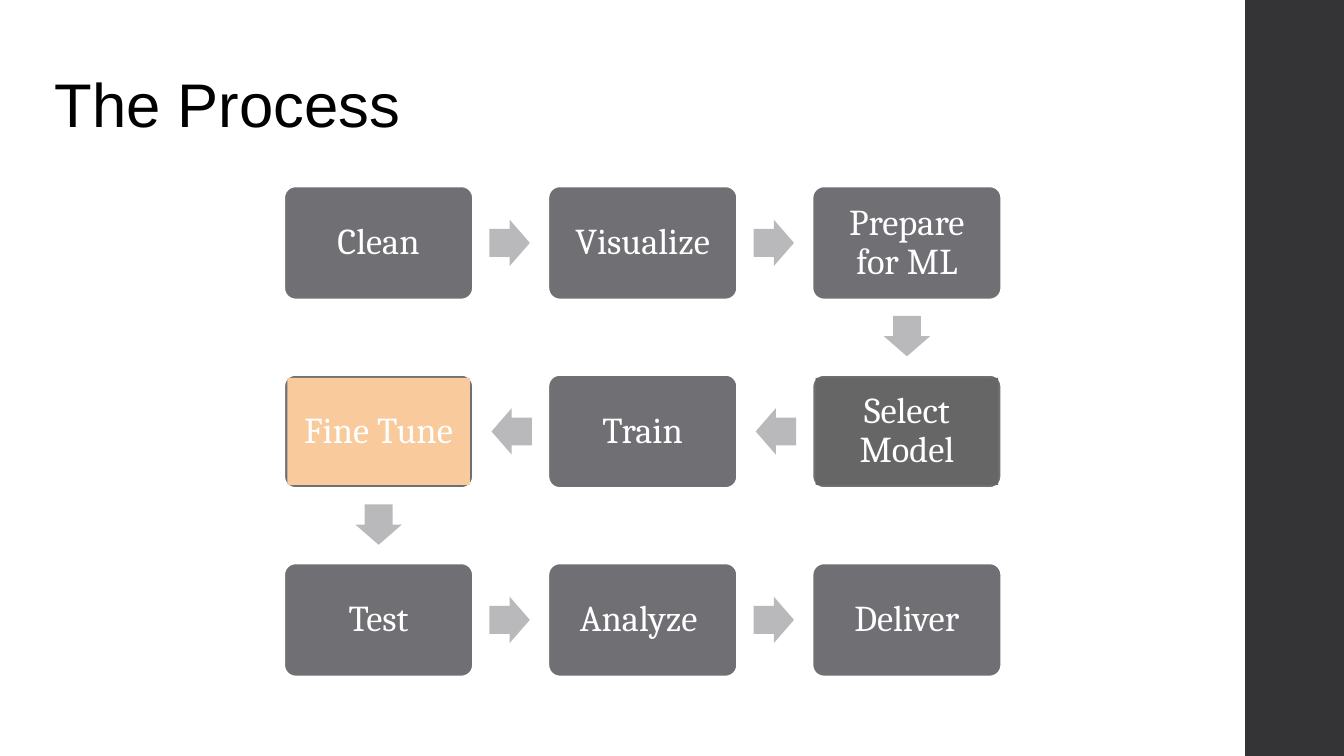
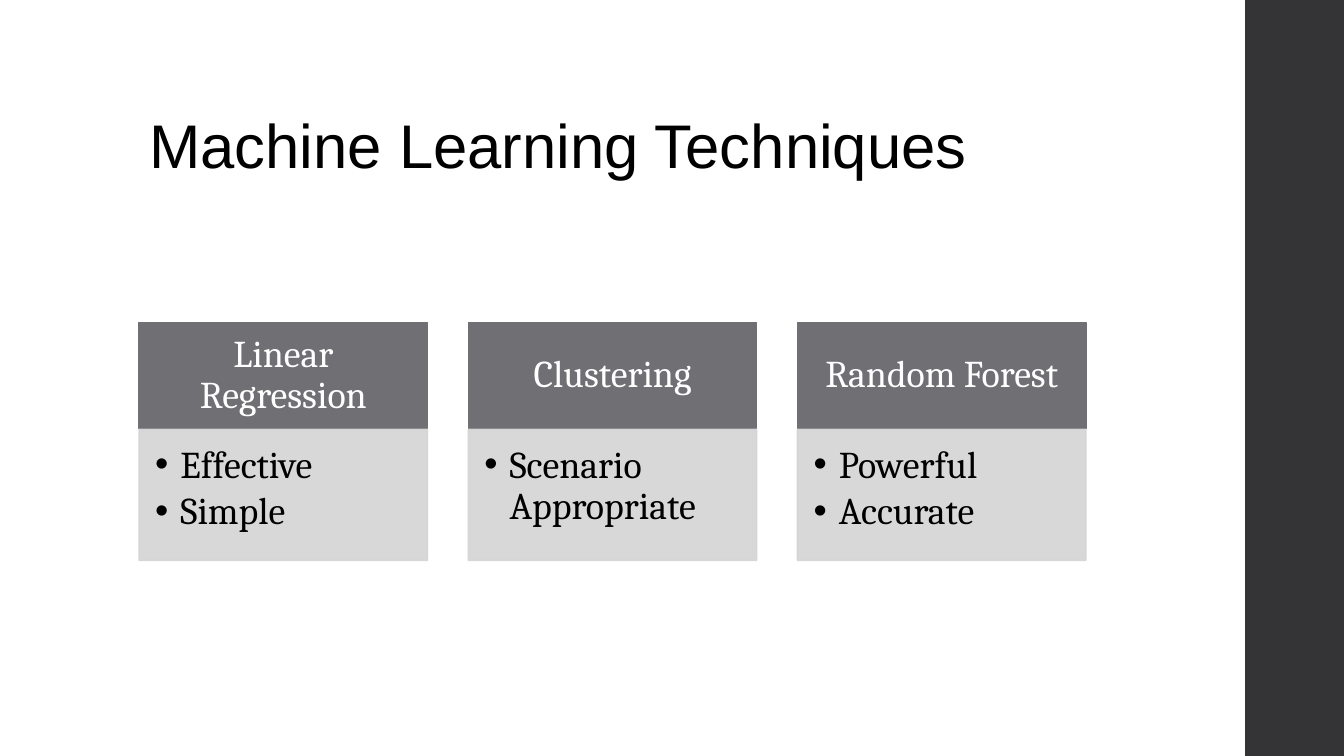
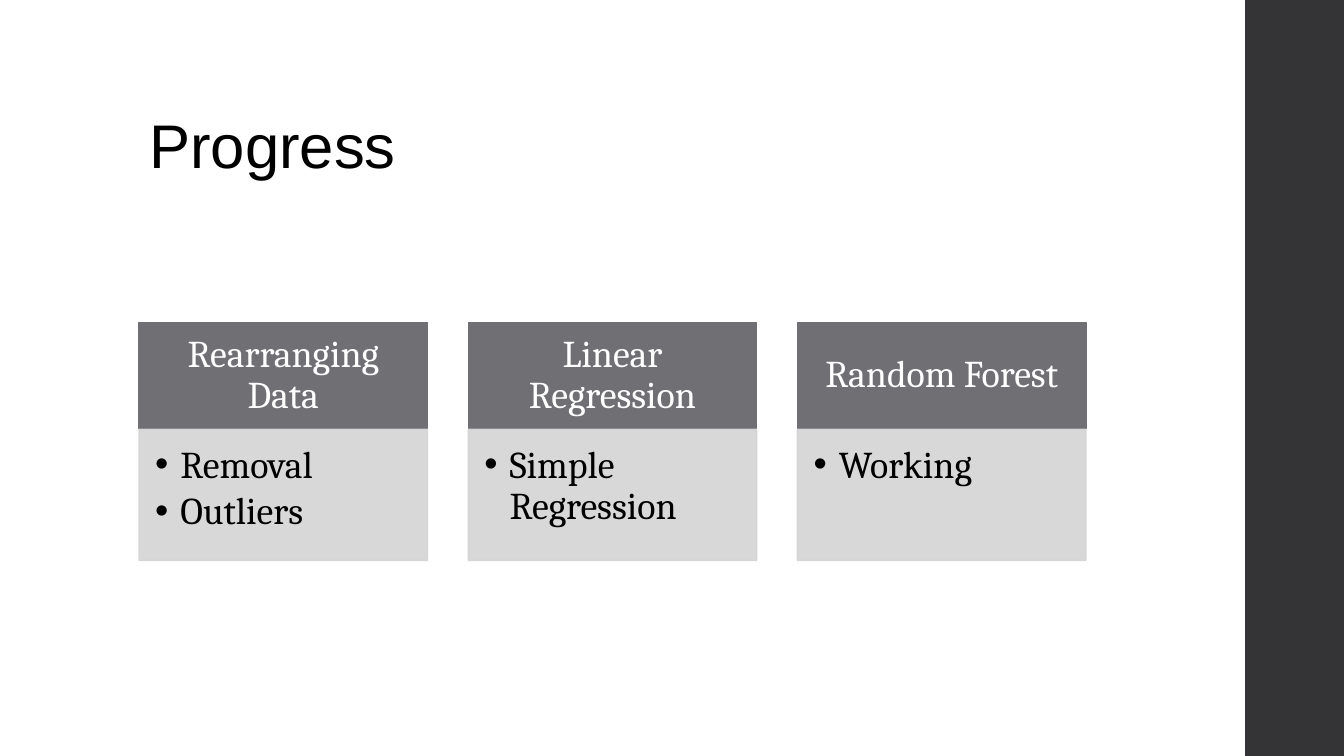
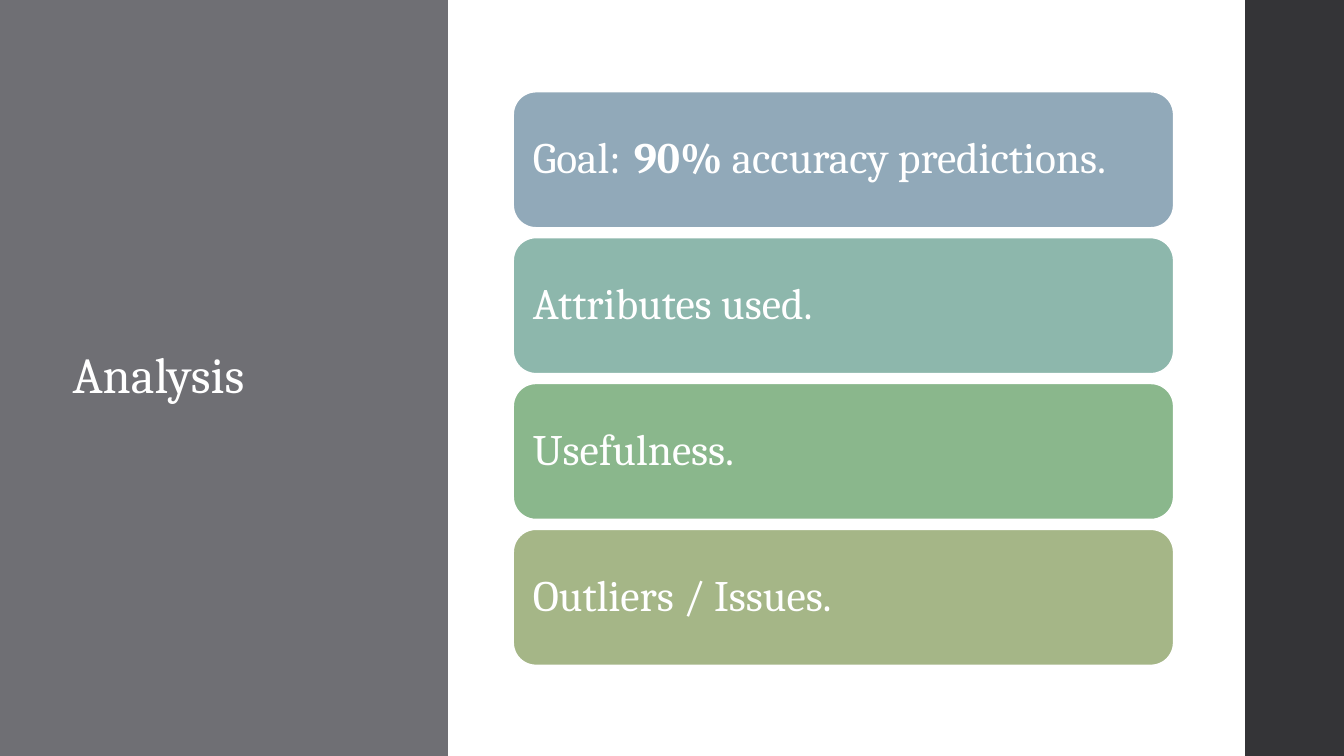
"""Build four slides on a machine learning project: process, techniques, progress and analysis."""

import dataclasses
import itertools
import typing

import lxml.etree
import pptx
import pptx.dml.color
import pptx.enum.shapes
import pptx.enum.text
import pptx.oxml.ns
import pptx.shapes.autoshape
import pptx.slide
import pptx.text.text
import pptx.util

SLIDE_WIDTH, SLIDE_HEIGHT = 13.33, 7.5
BAND_LEFT = 12.35
TITLE_ONLY_LAYOUT = 5

WHITE, BLACK = "FFFFFF", "000000"
CHARCOAL, GREY, PALE_GREY, ARROW_GREY = "343437", "6F6F74", "D4D4D5", "B9B9BB"

SHAPES = pptx.enum.shapes.MSO_SHAPE
ALIGN = pptx.enum.text.PP_ALIGN
ANCHOR = pptx.enum.text.MSO_ANCHOR


class Frame(typing.NamedTuple):
    left: float
    top: float
    width: float
    height: float

    @property
    def centre(self) -> tuple[float, float]:
        return self.left + self.width / 2, self.top + self.height / 2

    def shrunk(self, margin: float) -> "Frame":
        return Frame(self.left + margin, self.top + margin,
                     self.width - 2 * margin, self.height - 2 * margin)


@dataclasses.dataclass(frozen=True)
class Grid:
    first: Frame
    column_step: float = 0
    row_step: float = 0

    def cell(self, column: int, row: int) -> Frame:
        return self.first._replace(left=self.first.left + column * self.column_step,
                                   top=self.first.top + row * self.row_step)


@dataclasses.dataclass(frozen=True)
class TextStyle:
    size: float
    colour: str = WHITE
    font: str = "Cambria"
    align: ALIGN = ALIGN.LEFT
    anchor: ANCHOR = ANCHOR.MIDDLE
    insets: tuple[float, float, float, float] = (0.1, 0.05, 0.1, 0.05)
    bullet: bool = False


class Run(typing.NamedTuple):
    text: str
    bold: bool = False


class Step(typing.NamedTuple):
    label: str
    highlight: str | None = None


class Card(typing.NamedTuple):
    heading: str
    points: list[str]


class Bar(typing.NamedTuple):
    runs: list[Run]
    fill: str


TITLE_STYLE = TextStyle(44, BLACK, "Arial", anchor=ANCHOR.BOTTOM)
SIDE_TITLE_STYLE = TextStyle(36)
STEP_STYLE = TextStyle(26, align=ALIGN.CENTER, insets=(0.11,) * 4)
HEADING_STYLE = TextStyle(27, align=ALIGN.CENTER, insets=(0.21, 0.12, 0.21, 0.12))
POINT_STYLE = TextStyle(27, BLACK, anchor=ANCHOR.TOP, insets=(0.16, 0.16, 0.21, 0.24), bullet=True)
BAR_STYLE = TextStyle(31, insets=(0.13,) * 4)

PROCESS_TITLE = Frame(0.44, 0, 10.6, 1.45)
CARD_TITLE = Frame(1.38, 0.4, 10.6, 1.45)
SIDE_TITLE = Frame(0.62, 0.91, 2.97, 5.67)
SIDE_PANEL = Frame(0, 0, SLIDE_WIDTH / 3, SLIDE_HEIGHT)

STEP_COLUMNS = 3
STEP_GRID = Grid(Frame(2.82, 1.85, 1.87, 1.12), 2.62, 1.87)
HEADING_GRID = Grid(Frame(1.38, 3.2, 2.86, 1.05), 3.265)
POINT_GRID = Grid(Frame(1.38, 4.26, 2.86, 1.3), 3.265)
BAR_GRID = Grid(Frame(5.09, 0.91, 6.55, 1.35), row_step=1.447)
ARROW_WIDTH, ARROW_HEIGHT, ARROW_SETBACK = 0.4, 0.46, 0.01

STEPS = [
    Step("Clean"), Step("Visualize"), Step("Prepare for ML"),
    Step("Select Model", "666666"), Step("Train"), Step("Fine Tune", "F9CB9C"),
    Step("Test"), Step("Analyze "), Step("Deliver"),
]
TECHNIQUES = [
    Card("Linear Regression", ["Effective", "Simple"]),
    Card("Clustering", ["Scenario Appropriate"]),
    Card("Random Forest", ["Powerful", "Accurate"]),
]
PROGRESS = [
    Card("Rearranging Data", ["Removal", "Outliers"]),
    Card("Linear Regression", ["Simple Regression"]),
    Card("Random Forest", ["Working"]),
]
BARS = [
    Bar([Run("Goal: \t"), Run("90%", True), Run(" accuracy predictions.")], "91A9B9"),
    Bar([Run("Attributes used.")], "8DB7AC"),
    Bar([Run("Usefulness.")], "8AB78C"),
    Bar([Run("Outliers / Issues.")], "A5B687"),
]


def colour(value: str) -> pptx.dml.color.RGBColor:
    return pptx.dml.color.RGBColor.from_string(value)


def set_formats(target: object, formats: dict[str, object]) -> None:
    for name, value in formats.items():
        setattr(target, name, value)


def place(shape: pptx.shapes.autoshape.Shape, frame: Frame) -> None:
    set_formats(shape, {name: pptx.util.Inches(value) for name, value in frame._asdict().items()})


def add_bullet(paragraph: pptx.text.text._Paragraph) -> None:
    properties = paragraph._p.get_or_add_pPr()
    indent = pptx.util.Inches(0.25)
    properties.set("marL", str(indent))
    properties.set("indent", str(-indent))
    for tag, attribute, value in (("a:buFont", "typeface", "Arial"), ("a:buChar", "char", "•")):
        lxml.etree.SubElement(properties, pptx.oxml.ns.qn(tag)).set(attribute, value)


def write_text(shape: pptx.shapes.autoshape.Shape, paragraphs: list[list[Run]],
               style: TextStyle) -> None:
    text_frame = shape.text_frame
    sides = ("margin_left", "margin_top", "margin_right", "margin_bottom")
    set_formats(text_frame, {
        "word_wrap": True,
        "auto_size": pptx.enum.text.MSO_AUTO_SIZE.NONE,
        "vertical_anchor": style.anchor,
        **{side: pptx.util.Inches(inset) for side, inset in zip(sides, style.insets)},
    })
    for index, runs in enumerate(paragraphs):
        paragraph = text_frame.add_paragraph() if index else text_frame.paragraphs[0]
        set_formats(paragraph, {
            "alignment": style.align,
            "line_spacing": 0.9,
            "space_before": pptx.util.Pt(4 if index else 0),
        })
        if style.bullet:
            add_bullet(paragraph)
        for text, bold in runs:
            run = paragraph.add_run()
            run.text = text
            set_formats(run.font, {"name": style.font, "size": pptx.util.Pt(style.size), "bold": bold})
            run.font.color.rgb = colour(style.colour)


def add_block(slide: pptx.slide.Slide, kind: SHAPES, frame: Frame, fill: str,
              line: str | None = None,
              adjustments: tuple[float, ...] = ()) -> pptx.shapes.autoshape.Shape:
    shape = slide.shapes.add_shape(kind, *map(pptx.util.Inches, frame))
    shape.shadow.inherit = False
    shape.fill.solid()
    shape.fill.fore_color.rgb = colour(fill)
    if line:
        shape.line.color.rgb = colour(line)
        shape.line.width = pptx.util.Pt(1.1)
    else:
        shape.line.fill.background()
    for index, value in enumerate(adjustments):
        shape.adjustments[index] = value
    return shape


def set_opacity(shape: pptx.shapes.autoshape.Shape, percent: int) -> None:
    for element in shape.element.spPr.iter(pptx.oxml.ns.qn("a:srgbClr")):
        lxml.etree.SubElement(element, pptx.oxml.ns.qn("a:alpha")).set("val", str(percent * 1000))


def add_titled_slide(presentation: pptx.presentation.Presentation, title: str, frame: Frame,
                     style: TextStyle = TITLE_STYLE) -> pptx.slide.Slide:
    slide = presentation.slides.add_slide(presentation.slide_layouts[TITLE_ONLY_LAYOUT])
    place(slide.shapes.title, frame)
    write_text(slide.shapes.title, [[Run(title)]], style)
    return slide


def move_band_to_master(presentation: pptx.presentation.Presentation,
                        slide: pptx.slide.Slide) -> None:
    frame = Frame(BAND_LEFT, 0, SLIDE_WIDTH - BAND_LEFT, SLIDE_HEIGHT)
    band = add_block(slide, SHAPES.RECTANGLE, frame, CHARCOAL)
    band.element.nvSpPr.cNvPr.set("id", "20")
    next(iter(presentation.slide_master.shapes)).element.addprevious(band.element)


def step_frame(index: int) -> Frame:
    row, position = divmod(index, STEP_COLUMNS)
    return STEP_GRID.cell(STEP_COLUMNS - 1 - position if row % 2 else position, row)


def add_step(slide: pptx.slide.Slide, step: Step, frame: Frame) -> None:
    tile = add_block(slide, SHAPES.ROUNDED_RECTANGLE, frame, GREY, WHITE, (0.1,))
    if step.highlight:
        tile = add_block(slide, SHAPES.RECTANGLE, frame.shrunk(0.03), step.highlight)
    write_text(tile, [[Run(step.label)]], STEP_STYLE)


def add_step_arrow(slide: pptx.slide.Slide, start: Frame, end: Frame) -> None:
    (start_x, start_y), (end_x, end_y) = start.centre, end.centre
    rotation, across, down = 0, 1, 0
    if end.top > start.top:
        rotation, across, down = 90, 0, 1
    elif end.left < start.left:
        rotation, across = 180, -1
    frame = Frame((start_x + end_x - ARROW_WIDTH) / 2 - across * ARROW_SETBACK,
                  (start_y + end_y - ARROW_HEIGHT) / 2 - down * ARROW_SETBACK,
                  ARROW_WIDTH, ARROW_HEIGHT)
    arrow = add_block(slide, SHAPES.RIGHT_ARROW, frame, ARROW_GREY, adjustments=(0.6, 0.5))
    arrow.rotation = rotation


def add_process_slide(presentation: pptx.presentation.Presentation) -> None:
    slide = add_titled_slide(presentation, "The Process", PROCESS_TITLE)
    move_band_to_master(presentation, slide)
    frames = [step_frame(index) for index in range(len(STEPS))]
    for step, frame in zip(STEPS, frames):
        add_step(slide, step, frame)
    for start, end in itertools.pairwise(frames):
        add_step_arrow(slide, start, end)


def add_card_slide(presentation: pptx.presentation.Presentation, title: str,
                   cards: list[Card]) -> None:
    slide = add_titled_slide(presentation, title, CARD_TITLE)
    for column, card in enumerate(cards):
        heading = add_block(slide, SHAPES.RECTANGLE, HEADING_GRID.cell(column, 0), GREY, GREY)
        write_text(heading, [[Run(card.heading)]], HEADING_STYLE)
        body = add_block(slide, SHAPES.RECTANGLE, POINT_GRID.cell(column, 0), PALE_GREY, PALE_GREY)
        set_opacity(body, 90)
        write_text(body, [[Run(point)] for point in card.points], POINT_STYLE)


def add_analysis_slide(presentation: pptx.presentation.Presentation) -> None:
    slide = add_titled_slide(presentation, "Analysis", SIDE_TITLE, SIDE_TITLE_STYLE)
    panel = add_block(slide, SHAPES.RECTANGLE, SIDE_PANEL, GREY)
    panel.element.addnext(slide.shapes.title.element)
    for row, bar in enumerate(BARS):
        block = add_block(slide, SHAPES.ROUNDED_RECTANGLE, BAR_GRID.cell(0, row),
                          bar.fill, WHITE, (0.167,))
        write_text(block, [bar.runs], BAR_STYLE)


def main() -> None:
    presentation = pptx.Presentation()
    presentation.slide_width = pptx.util.Inches(SLIDE_WIDTH)
    presentation.slide_height = pptx.util.Inches(SLIDE_HEIGHT)
    add_process_slide(presentation)
    add_card_slide(presentation, "Machine Learning Techniques", TECHNIQUES)
    add_card_slide(presentation, "Progress", PROGRESS)
    add_analysis_slide(presentation)
    presentation.save("out.pptx")


if __name__ == "__main__":
    main()
